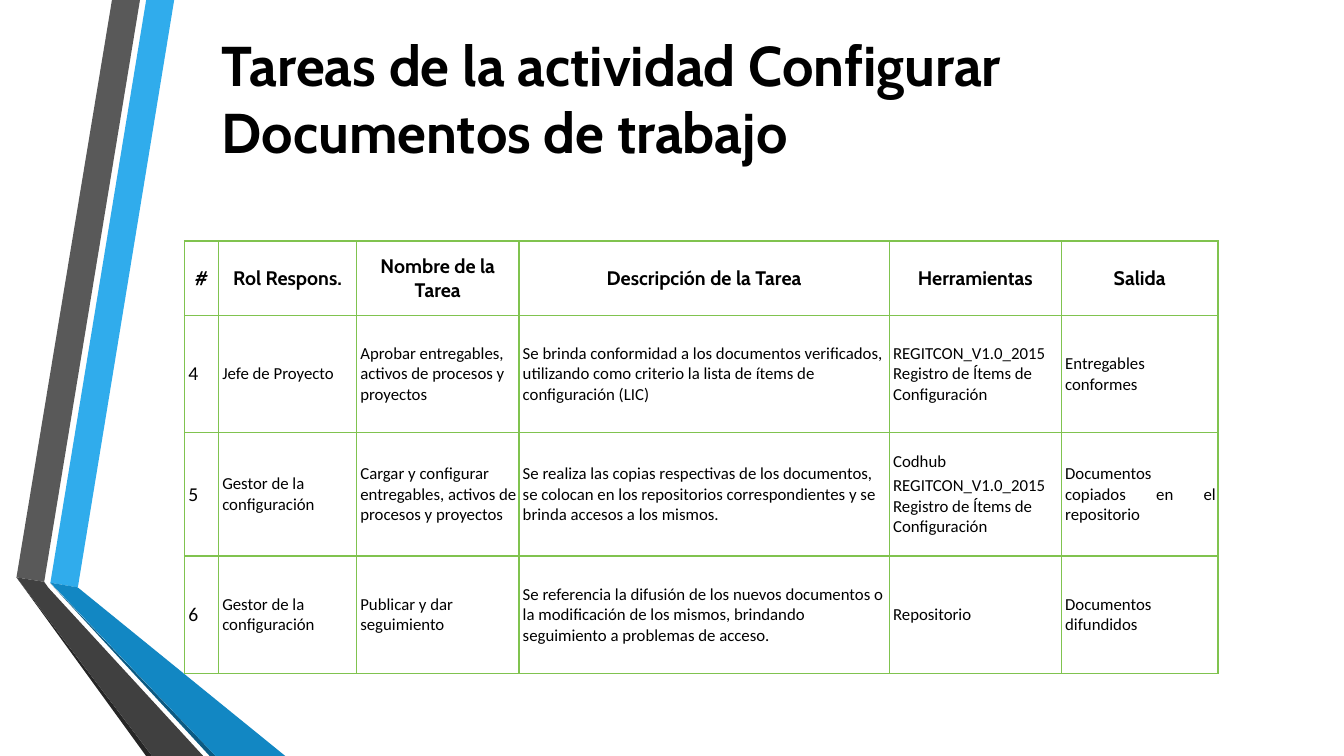
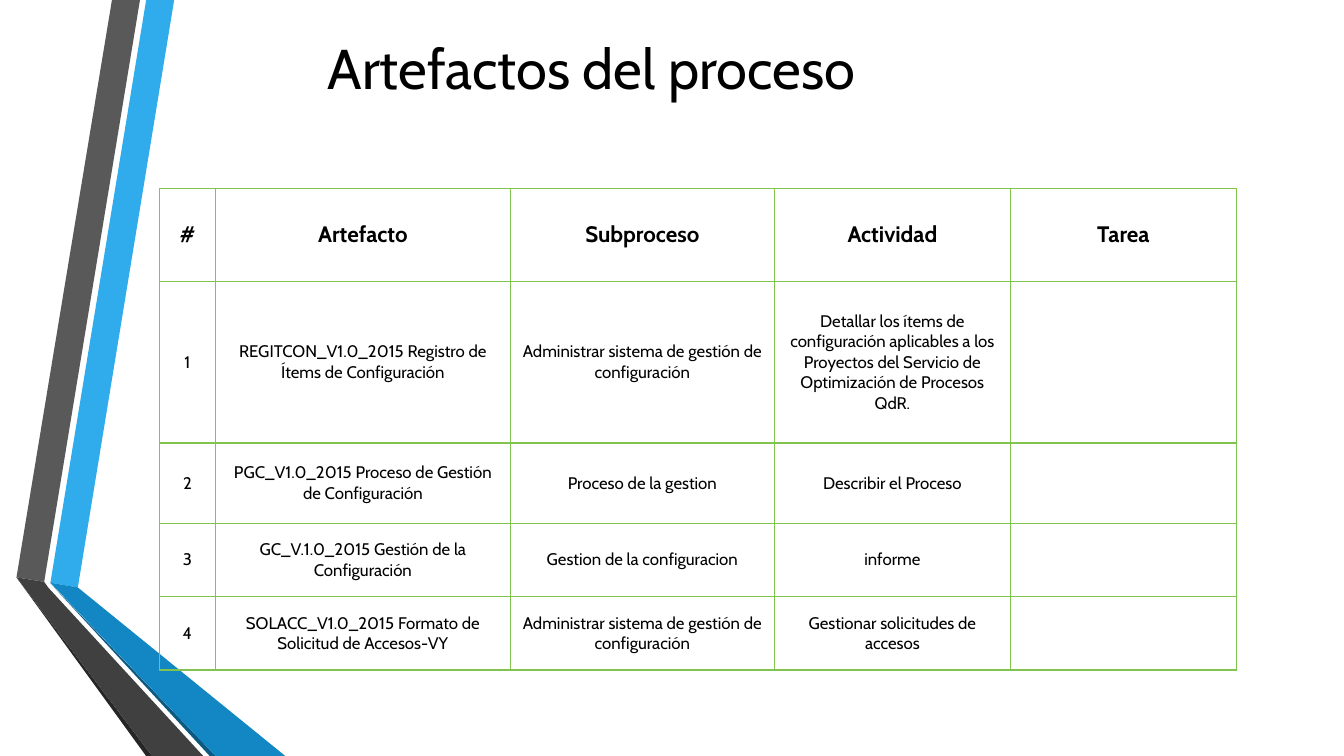
"""Build two slides of process tables beside a folded ribbon."""
import pptx
import pptx.util
import pptx.dml.color
import pptx.enum.text
import pptx.oxml
import pptx.oxml.ns
from dataclasses import dataclass

Pt = pptx.util.Pt
Align = pptx.enum.text.PP_ALIGN
Anchor = pptx.enum.text.MSO_ANCHOR


@dataclass(frozen=True)
class Theme:
    ink: str = "000000"
    rule: str = "80C34F"
    sky: str = "30ACEC"
    blue: str = "1287C3"
    navy: str = "0C5A82"
    grey: str = "595959"
    dark: str = "404040"
    coal: str = "262626"
    head: str = "Cabin"
    text: str = "Calibri"
    title: int = 40
    body: int = 12
    line: int = 1
    lead: float = 0.2


THEME = Theme()
WIDE, HIGH = 960, 540

BANDS = [
    (THEME.sky, [(36, 416.2), (55.6, 419.6), (124.4, 0), (104.4, 0)]),
    (THEME.grey, [(100, 0), (80, 0), (11.8, 412.4), (31.6, 415.6)]),
    (THEME.coal, [(11.8, 412.4), (104.4, HIGH), (108.7, HIGH)]),
    (THEME.navy, [(36, 416.7), (149.8, HIGH), (154.1, HIGH)]),
    (THEME.blue, [(36, 416.2), (154.1, HIGH), (203.8, HIGH), (55.6, 419.6)]),
    (THEME.dark, [(145.2, HIGH), (34.6, 419.8), (31.6, 415.6),
                  (11.8, 412.4), (108.7, HIGH)]),
]

FORM = "REGITCON_V1.0_2015 Registro de Ítems de Configuración"
ADMIN = "Administrar sistema de gestión de configuración"
ROLE = "Gestor de la configuración"

PAGES = [
    dict(
        title="Tareas de la actividad Configurar Documentos de trabajo",
        box=(151.2, 18, 674.6, 104.4), bold=True,
        spot=(131.8, 172.2),
        cols=[24.3, 98.6, 116, 264.6, 122.9, 111.8],
        rows=[53, 84, 88, 84],
        head=14, font=THEME.text, sizes={0: 14},
        align=[Align.LEFT] * 5 + [Align.JUSTIFY],
        pads=[(0, 3.6, 0, 3.6), (2.7, 3.6, 1.4, 3.6)],
        cells=[
            ["#", "Rol Respons.", "Nombre de la Tarea",
             "Descripción de la Tarea", "Herramientas", "Salida"],
            ["4", "Jefe de Proyecto",
             "Aprobar entregables, activos de procesos y proyectos",
             "Se brinda conformidad a los documentos verificados, utilizando "
             "como criterio la lista de ítems de configuración (LIC)",
             FORM, "Entregables conformes"],
            ["5", ROLE,
             "Cargar y configurar entregables, activos de procesos y proyectos",
             "Se realiza las copias respectivas de los documentos, se colocan "
             "en los repositorios correspondientes y se brinda accesos a los "
             "mismos.",
             "Codhub\n" + FORM, "Documentos copiados en el repositorio"],
            ["6", ROLE, "Publicar y dar seguimiento",
             "Se referencia la difusión de los nuevos documentos o la "
             "modificación de los mismos, brindando seguimiento a problemas "
             "de acceso.",
             "Repositorio", "Documentos difundidos"],
        ],
    ),
    dict(
        title="Artefactos del proceso",
        box=(226.8, 20.2, 401.8, 55.4), bold=False,
        spot=(113.9, 134.6),
        cols=[40, 210.7, 188.6, 168.6, 161.4],
        rows=[66.4, 115.4, 57.5, 52.2, 52.5],
        head=16, font=THEME.head, sizes={},
        align=[Align.CENTER] * 5,
        pads=[(7.2, 3.6, 7.2, 3.6)] * 2,
        cells=[
            ["#", "Artefacto", "Subproceso", "Actividad", "Tarea"],
            ["1", FORM, ADMIN,
             "Detallar los ítems de configuración aplicables a los Proyectos "
             "del Servicio de Optimización de Procesos QdR.", ""],
            ["2", "PGC_V1.0_2015 Proceso de Gestión de Configuración",
             "Proceso de la gestion", "Describir el Proceso", ""],
            ["3", "GC_V.1.0_2015 Gestión de la Configuración",
             "Gestion de la configuracion", "informe", ""],
            ["4", "SOLACC_V1.0_2015 Formato de Solicitud de Accesos-VY",
             ADMIN, "Gestionar solicitudes de accesos", ""],
        ],
    ),
]


def tint(code):
    """Turn a hex code into a colour."""
    return pptx.dml.color.RGBColor.from_string(code)


def style(para, font, size, bold, align):
    """Format one paragraph and its runs."""
    para.alignment = align
    for run in para.runs:
        run.font.name = font
        run.font.size = Pt(size)
        run.font.bold = bold
        run.font.color.rgb = tint(THEME.ink)


def draw_bands(slide):
    """Draw the folded ribbon."""
    for color, points in BANDS:
        spots = [(Pt(x), Pt(y)) for x, y in points]
        pen = slide.shapes.build_freeform(*spots[0])
        pen.add_line_segments(spots[1:], close=True)
        band = pen.convert_to_shape()
        band.shadow.inherit = False
        band.fill.solid()
        band.fill.fore_color.rgb = tint(color)
        band.line.fill.background()


def set_title(slide, page):
    """Place and format the title."""
    title = slide.shapes.title
    title.left, title.top, title.width, title.height = map(Pt, page["box"])
    frame = title.text_frame
    frame.text = page["title"]
    frame.word_wrap = True
    frame.auto_size = pptx.enum.text.MSO_AUTO_SIZE.NONE
    frame.vertical_anchor = Anchor.TOP
    style(frame.paragraphs[0], THEME.head, THEME.title, page["bold"],
          Align.LEFT)


def set_rules(cell):
    """Line all four sides of a cell."""
    props = cell._tc.get_or_add_tcPr()
    for spot, side in enumerate("LRTB"):
        props.insert(spot, pptx.oxml.parse_xml(
            f'<a:ln{side} {pptx.oxml.ns.nsdecls("a")} w="{Pt(THEME.line)}">'
            f'<a:solidFill><a:srgbClr val="{THEME.rule}"/></a:solidFill>'
            f'</a:ln{side}>'))


def fill_cell(cell, words, page, row, col):
    """Write and format one cell."""
    top = row == 0
    size = page["head"] if top else page["sizes"].get(col, THEME.body)
    font = THEME.head if top else page["font"]
    align = Align.CENTER if top else page["align"][col]
    pads = page["pads"][0 if top else 1]
    (cell.margin_left, cell.margin_top,
     cell.margin_right, cell.margin_bottom) = map(Pt, pads)
    cell.vertical_anchor = Anchor.MIDDLE
    cell.fill.background()
    set_rules(cell)
    cell.text_frame.text = words
    for para in cell.text_frame.paragraphs:
        style(para, font, size, top, align)
        para.space_before = Pt(THEME.lead * size)


def add_grid(slide, page):
    """Add the table of a page."""
    cols, rows = page["cols"], page["rows"]
    area = (*page["spot"], sum(cols), sum(rows))
    grid = slide.shapes.add_table(len(rows), len(cols), *map(Pt, area)).table
    grid.first_row = grid.horz_banding = False
    for col, width in zip(grid.columns, cols):
        col.width = Pt(width)
    for row, height in zip(grid.rows, rows):
        row.height = Pt(height)
    for row, line in enumerate(page["cells"]):
        for col, words in enumerate(line):
            fill_cell(grid.cell(row, col), words, page, row, col)


def main():
    """Build and save the deck."""
    deck = pptx.Presentation()
    deck.slide_width, deck.slide_height = Pt(WIDE), Pt(HIGH)
    for page in PAGES:
        slide = deck.slides.add_slide(deck.slide_layouts[5])
        draw_bands(slide)
        set_title(slide, page)
        add_grid(slide, page)
    deck.save("out.pptx")


if __name__ == "__main__":
    main()
